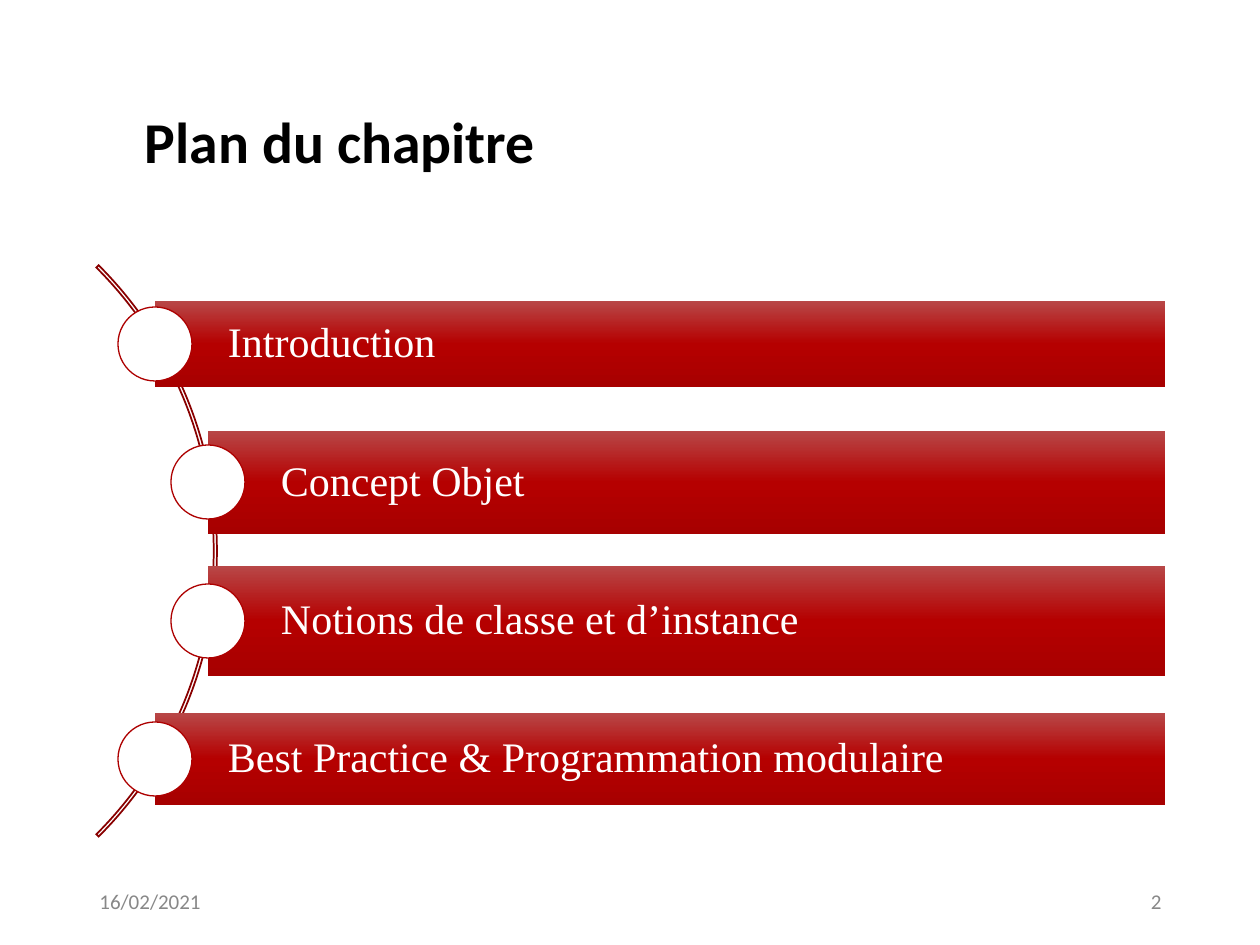
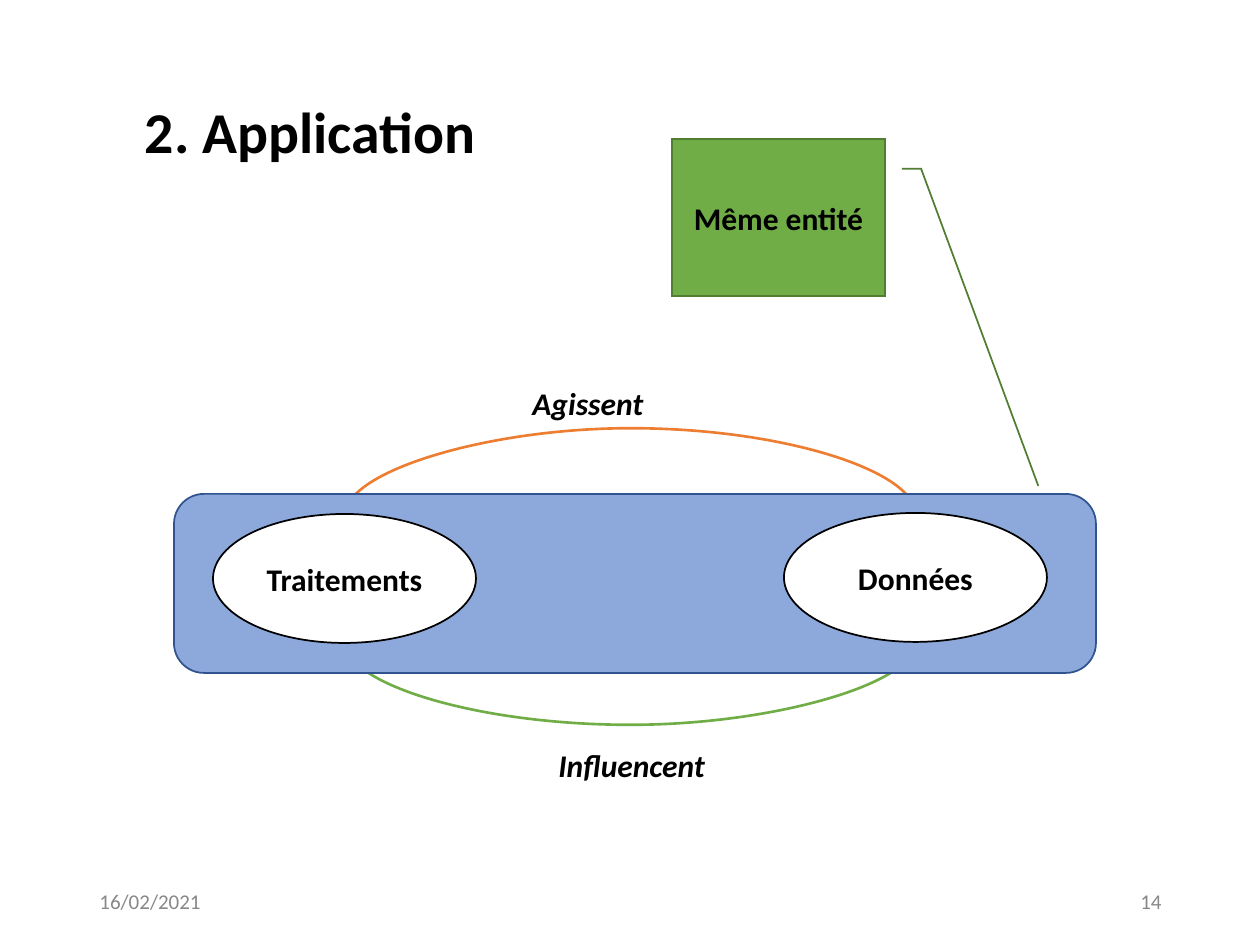
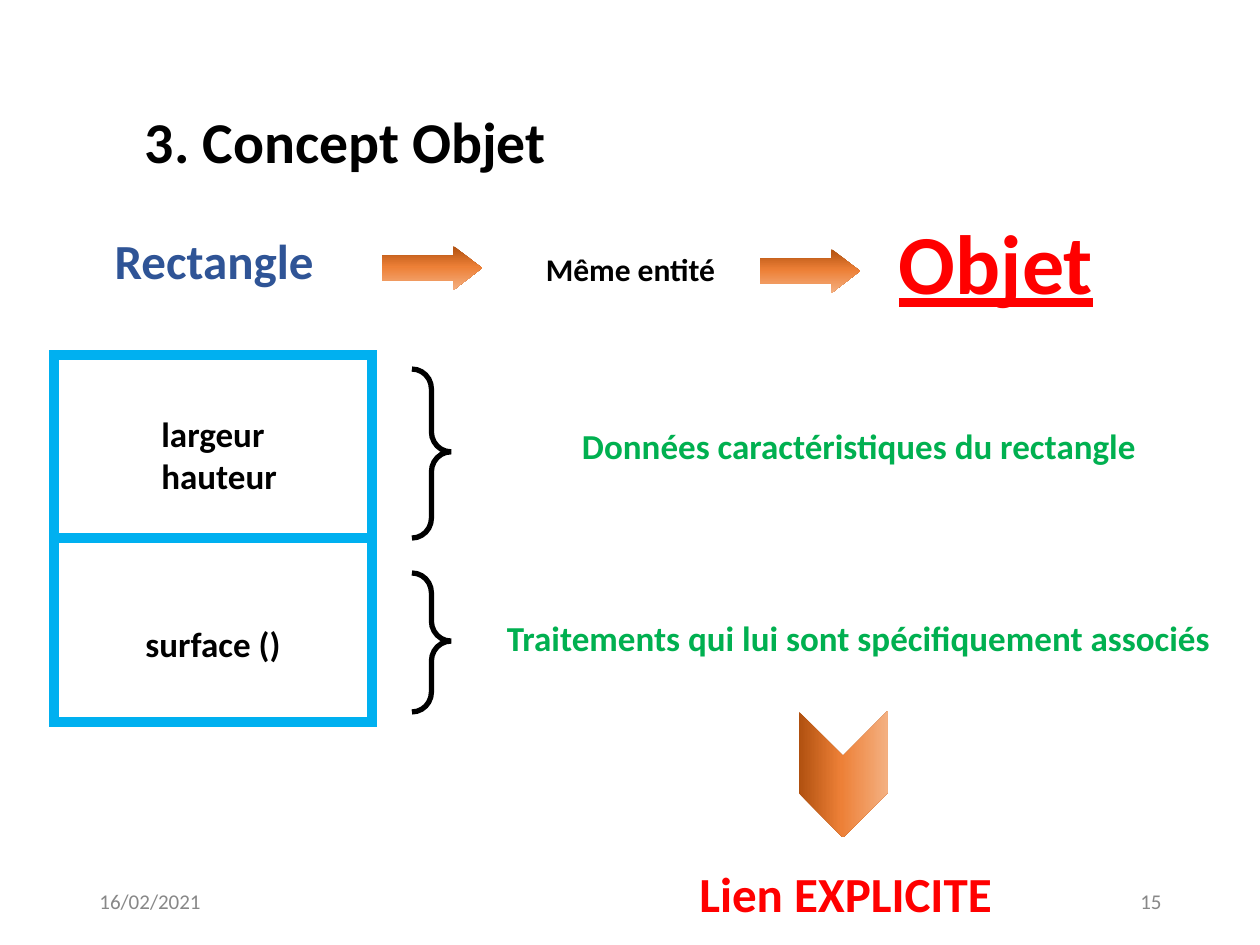
from collections import namedtuple

from lxml.etree import SubElement
from pptx import Presentation
from pptx.dml.color import RGBColor
from pptx.enum.shapes import MSO_CONNECTOR as LINK, MSO_SHAPE as SHAPE
from pptx.enum.text import MSO_ANCHOR as ANCHOR, PP_ALIGN as ALIGN
from pptx.oxml.ns import qn
from pptx.util import Emu, Pt

SCALE = 914400 / 126  # EMU in one px
COLORS = {
    "black": "000000", "white": "FFFFFF", "footer": "888888",
    "arc": "890000", "ring": "AD0000",
    "panel": "8DA9DB", "panel edge": "31538F",
    "green": "70AD47", "green edge": "517E33", "orange": "ED7D31",
    "cyan": "00B0F0", "navy": "2F5496", "leaf": "00B050", "red": "FF0000",
}
RED_FADE = ((0, "B84747"), (50, "B50000"), (100, "A70000"))
ORANGE_FADE = ((0, "B0500F"), (48, "ED8037"), (100, "F4B081"))

Box = namedtuple("Box", "x y w h")
PAGE = Box(0, 0, 1260, 945)


def px(length):
    return Emu(round(length * SCALE))


def within(area, x, y, w, h):
    """Box at an offset from the corner of an area."""
    return Box(area.x + x, area.y + y, w, h)


def color(name):
    return RGBColor.from_string(COLORS[name])


# ---- Drawing helpers ----
def outline(part, name, weight):
    part.line.color.rgb = color(name)
    part.line.width = Pt(weight)
    SubElement(part.line._ln, qn("a:miter"), lim="800000")


def fade(shape, stops, angle):
    shape.fill.gradient()
    grad = shape._element.spPr.find(qn("a:gradFill"))
    for child in list(grad):
        grad.remove(child)
    grad.set("rotWithShape", "1")
    stop_list = SubElement(grad, qn("a:gsLst"))
    for position, tint in stops:
        stop = SubElement(stop_list, qn("a:gs"), pos=str(position * 1000))
        SubElement(stop, qn("a:srgbClr"), val=tint)
    SubElement(grad, qn("a:lin"), ang=str(angle * 60000), scaled="0")


def shape_at(slide, kind, box, fill=None, edge=None, weight=1, adjust=(), rotation=0):
    shape = slide.shapes.add_shape(kind, *map(px, box))
    shape.shadow.inherit = False
    shape.rotation = rotation
    for index, value in enumerate(adjust):
        shape.adjustments[index] = value
    if fill:
        shape.fill.solid()
        shape.fill.fore_color.rgb = color(fill)
    else:
        shape.fill.background()
    if edge:
        outline(shape, edge, weight)
    else:
        shape.line.fill.background()
    return shape


def write(holder, lines, size, tint="black", font="Calibri", align=ALIGN.CENTER,
          anchor=ANCHOR.MIDDLE, margins=None, **style):
    frame = holder.text_frame
    frame.word_wrap = True
    frame.vertical_anchor = anchor
    for side, inset in (margins or {}).items():
        setattr(frame, f"margin_{side}", px(inset))
    frame.text = lines
    for paragraph in frame.paragraphs:
        paragraph.alignment = align
        look = {"name": font, "size": Pt(size), "bold": True, **style}
        for run in paragraph.runs:
            run.font.color.rgb = color(tint)
            for key, value in look.items():
                setattr(run.font, key, value)
    return frame


def label(slide, box, words, size, tint="black", **style):
    holder = slide.shapes.add_textbox(*map(px, box))
    return write(holder, words, size, tint, **{"anchor": ANCHOR.TOP, **style})


def connector(slide, kind, start, end, tint, weight):
    link = slide.shapes.add_connector(kind, *map(px, start + end))
    outline(link, tint, weight)
    SubElement(link._element.spPr, qn("a:effectLst"))
    return link


def curved_arrow(slide, center, span, depth, rotation, tint):
    """Bow-shaped arrow: one px wide before it is turned, so depth is its bend."""
    x, y = center
    top = y - span // 2
    link = connector(slide, LINK.CURVE, (x, top), (x + 1, top + span), tint, 1.5)
    SubElement(link.line._ln, qn("a:tailEnd"), type="triangle")
    properties = link._element.spPr
    properties.find(qn("a:xfrm")).set("rot", str(rotation * 60000))
    guides = properties.find(qn("a:prstGeom")).find(qn("a:avLst"))
    SubElement(guides, qn("a:gd"), name="adj1", fmla=f"val {depth * 100000}")


# ---- Shared title and footer ----
def new_slide(deck, title, number, title_top=106):
    slide = deck.slides.add_slide(deck.slide_layouts[6])
    label(slide, within(PAGE, 145, title_top, 1040, 97), title, 33, align=ALIGN.LEFT,
          margins=dict.fromkeys(("left", "right", "top", "bottom"), 0))
    for x, words, align in ((87, "16/02/2021", ALIGN.LEFT), (890, number, ALIGN.RIGHT)):
        label(slide, within(PAGE, x, 876, 284, 50), words, 12, "footer", align=align,
              anchor=ANCHOR.MIDDLE, bold=False)
    return slide


# ---- Slide: chapter plan ----
def chapter_list(slide, area):
    dot, step = 74, 415 / 3
    arc = 808
    shape_at(slide, SHAPE.BLOCK_ARC, within(area, -686, (area.h - arc) // 2, arc, arc),
             edge="arc", adjust=(189, 27, 0.004))
    chapters = (
        ("Introduction", 60, 86),
        ("Concept Objet", 113, 103),
        ("Notions de classe et d’instance", 113, 110),
        ("Best Practice & Programmation modulaire", 60, 92),
    )
    for row, (chapter, indent, height) in enumerate(chapters):
        middle = round(area.h / 2 + (row - 1.5) * step)
        band = shape_at(slide, SHAPE.RECTANGLE, within(
            area, indent, middle - height // 2, area.w - indent, height))
        fade(band, RED_FADE, 90)
        frame = write(band, chapter, 24, "white", "Times New Roman", ALIGN.LEFT,
                      margins={"left": 73, "right": 9, "top": 9, "bottom": 9}, bold=False)
        frame.paragraphs[0].line_spacing = 0.9
        shape_at(slide, SHAPE.OVAL, within(area, indent - dot // 2, middle - dot // 2, dot, dot),
                 "white", "ring", 0.75)


# ---- Slide: application ----
def application_diagram(slide, area):
    middle = area.x + 456
    curved_arrow(slide, (middle, area.y + 149), 570, 83, 90, "green")
    curved_arrow(slide, (middle, area.y + 20), 570, 87, 270, "orange")
    shape_at(slide, SHAPE.ROUNDED_RECTANGLE, area, "panel", "panel edge", adjust=(0.167,))
    for x, y, role in ((39, 20, "Traitements"), (610, 19, "Données")):
        oval = shape_at(slide, SHAPE.OVAL, within(area, x, y, 263, 129), "white", "black")
        write(oval, role, 18)
    for x, y, w, verb in ((346, -116, 184, "Agissent"), (372, 246, 227, "Influencent")):
        label(slide, within(area, x, y, w, 50), verb, 18, align=ALIGN.LEFT, italic=True)


def entity_callout(slide, box):
    callout = shape_at(slide, SHAPE.LINE_CALLOUT_2, box, "green", "green edge",
                       adjust=(0.19, 1.08, 0.19, 1.17, 2.21, 1.72))
    write(callout, "Même entité", 18)


# ---- Slide: object concept ----
def concept_row(slide, area):
    words = (
        ("Rectangle", 0, 20, 256, 72, 28, "navy", False),
        ("Même entité", 446, 40, 197, 50, 18, "black", False),
        ("Objet", 782, 0, 256, 115, 48, "red", True),
    )
    for word, x, y, w, h, size, tint, underline in words:
        label(slide, within(area, x, y, w, h), word, size, tint, underline=underline)
    for x, y in ((296, 42), (674, 45)):
        arrow = shape_at(slide, SHAPE.LEFT_ARROW, within(area, x, y, 100, 44),
                         adjust=(0.57, 0.65), rotation=180)
        fade(arrow, ORANGE_FADE, 270)


def class_box(slide, box):
    card = shape_at(slide, SHAPE.RECTANGLE, box, "white", "cyan", 6)
    frame = write(card, "largeur\nhauteur\nsurface ()", 20, align=ALIGN.LEFT)
    *fields, method = frame.paragraphs
    for field in fields:
        field._p.get_or_add_pPr().set("marL", str(px(95)))
    method.alignment = ALIGN.CENTER
    method.space_before = Pt(72)
    split = box.y + box.h // 2
    connector(slide, LINK.STRAIGHT, (box.x, split), (box.x + box.w, split), "cyan", 6)


def explanations(slide, area):
    notes = (
        (0, 169, 100, 49, 694, "Données caractéristiques du rectangle"),
        (204, 139, 79, 37, 735, "Traitements qui lui sont spécifiquement associés"),
    )
    for y, height, x, drop, w, words in notes:
        shape_at(slide, SHAPE.RIGHT_BRACE, within(area, 0, y, 39, height),
                 edge="black", weight=3, adjust=(0.51, 0.49))
        label(slide, within(area, x, y + drop, w, 55), words, 20, "leaf")


def conclusion(slide, area):
    chevron = shape_at(slide, SHAPE.CHEVRON, within(area, 95, 18, 126, 89),
                       adjust=(0.5,), rotation=90)
    fade(chevron, ORANGE_FADE, 270)
    label(slide, within(area, 0, 145, area.w, 72), "Lien EXPLICITE", 28, "red")


def main():
    deck = Presentation()
    deck.slide_width, deck.slide_height = px(PAGE.w), px(PAGE.h)

    plan = new_slide(deck, "Plan du chapitre", "2")
    chapter_list(plan, Box(95, 266, 1070, 571))

    application = new_slide(deck, "2. Application", "14", 96)
    application_diagram(application, Box(174, 494, 922, 179))
    entity_callout(application, Box(672, 139, 213, 157))

    concept = new_slide(deck, "3. Concept Objet", "15")
    concept_row(concept, Box(86, 204, 1038, 115))
    class_box(concept, Box(54, 355, 318, 367))
    explanations(concept, Box(412, 369, 814, 343))
    conclusion(concept, Box(685, 712, 321, 217))

    deck.save("out.pptx")


if __name__ == "__main__":
    main()
